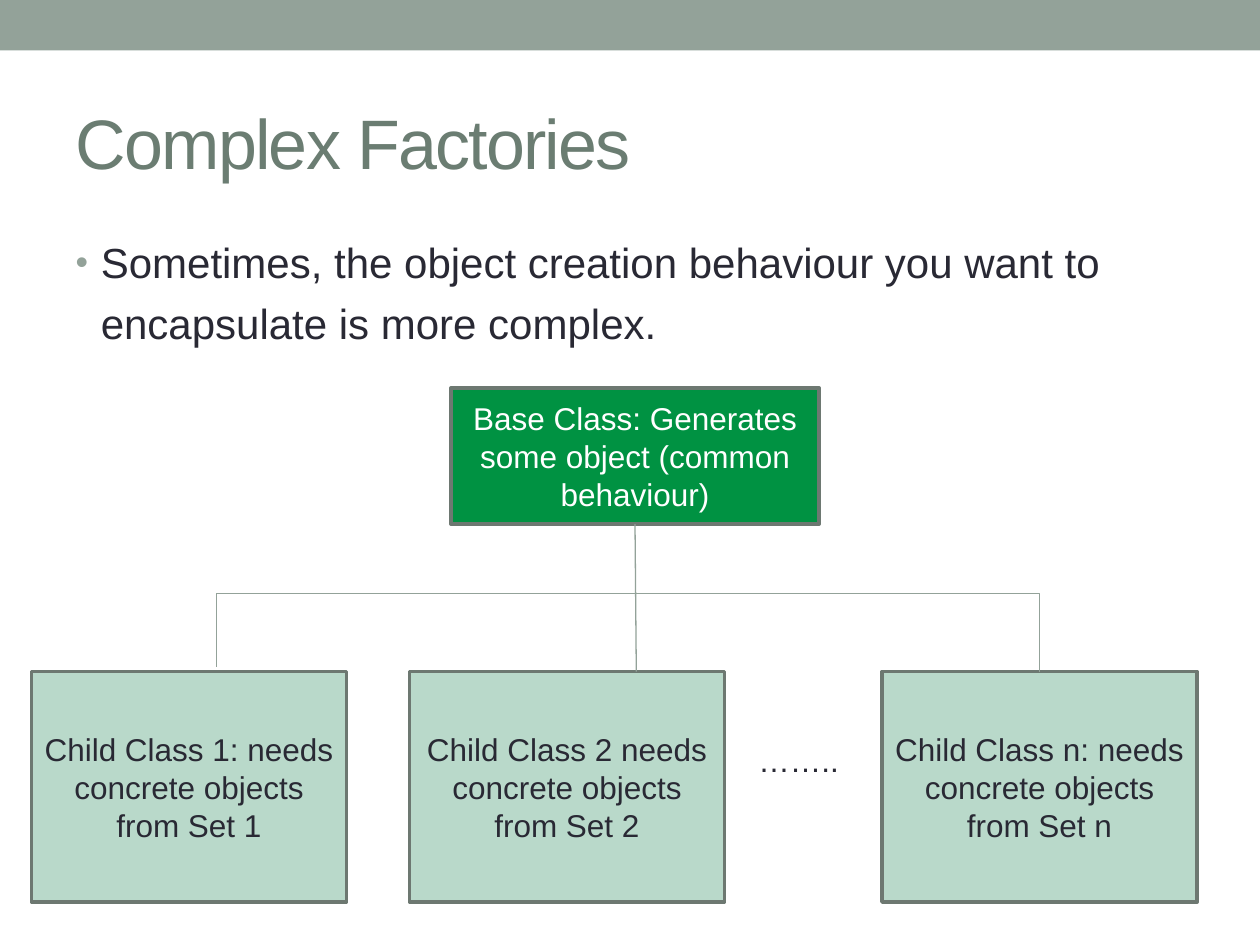
import pptx
import pptx.util
import pptx.dml.color
import pptx.enum.shapes
import pptx.enum.text
import pptx.oxml
import pptx.oxml.ns

Inches, Pt = pptx.util.Inches, pptx.util.Pt
RGB = pptx.dml.color.RGBColor
SHAPE = pptx.enum.shapes.MSO_SHAPE
CONNECTOR = pptx.enum.shapes.MSO_CONNECTOR
ANCHOR = pptx.enum.text.MSO_ANCHOR
ALIGN = pptx.enum.text.PP_ALIGN
AUTOSIZE = pptx.enum.text.MSO_AUTO_SIZE

SAGE = RGB(0x93, 0xA2, 0x99)
TITLE = RGB(0x6B, 0x7D, 0x72)
BORDER = RGB(0x6D, 0x78, 0x71)
GREEN = RGB(0x00, 0x92, 0x42)
MINT = RGB(0xB9, 0xD9, 0xCA)
INK = RGB(0x29, 0x29, 0x34)
WHITE = RGB(0xFF, 0xFF, 0xFF)

# Content
title = "Complex Factories"
bullet = ("Sometimes, the object creation behaviour you want to "
          "encapsulate is more complex.")
base = "Base Class: Generates some object (common behaviour)"
children = [
    (0.25, "Child Class 1: needs concrete objects from Set 1"),
    (3.25, "Child Class 2 needs concrete objects from Set 2"),
    (7, "Child Class n: needs concrete objects from Set n"),
]
CHILD_TOP, CHILD_W, CHILD_H = 5.33, 2.5, 1.83
BRANCH_Y = 4.71
branches = [(5.03, 8.25, CHILD_TOP), (5.05, 1.72, 5.29)]  # start x, end x, end y


def write(sp, text, size, color, anchor, align=ALIGN.LEFT):
    tf = sp.text_frame
    tf.text = text
    frame = {"word_wrap": True, "auto_size": AUTOSIZE.NONE, "vertical_anchor": anchor}
    for name, value in frame.items():
        setattr(tf, name, value)
    p = tf.paragraphs[0]
    p.alignment = align
    r = p.runs[0]
    for name, value in {"name": "Arial", "size": Pt(size)}.items():
        setattr(r.font, name, value)
    r.font.color.rgb = color
    return p


def place(sp, *box):
    for name, value in zip(("left", "top", "width", "height"), box):
        setattr(sp, name, Inches(value))


def add_box(box, fill, border=None):
    sp = s.shapes.add_shape(SHAPE.RECTANGLE, *map(Inches, box))
    sp.shadow.inherit = False
    sp.fill.solid()
    sp.fill.fore_color.rgb = fill
    if border is None:
        sp.line.fill.background()
    else:
        sp.line.color.rgb = border
        sp.line.width = Pt(2.08)
    return sp


def add_line(kind, *ends):
    line = s.shapes.add_connector(kind, *map(Inches, ends))
    line.line.color.rgb = SAGE
    line.line.width = Pt(0.75)
    pptx.oxml.ns.qn("a:effectLst")
    line._element.spPr.append(pptx.oxml.parse_xml(
        "<a:effectLst %s/>" % pptx.oxml.ns.nsdecls("a")))
    return line


prs = pptx.Presentation()
prs.slide_width, prs.slide_height = Inches(10), Inches(7.5)
s = prs.slides.add_slide(prs.slide_layouts[1])

# Top band, title and bullet
add_box((0, 0, 10, 0.4), SAGE)
place(s.shapes.title, 0.5, 0.58, 9, 1.08)
p = write(s.shapes.title, title, 40, TITLE, ANCHOR.MIDDLE)
p.runs[0].font._element.set("spc", "-100")

body = s.placeholders[1]
place(body, 0.5, 1.75, 9, 5.33)
p = write(body, bullet, 24, INK, ANCHOR.TOP)
spacing = {"line_spacing": 1.2, "space_before": Pt(6), "space_after": Pt(6)}
for name, value in spacing.items():
    setattr(p, name, value)
pPr = p._p.get_or_add_pPr()
pPr.set("marL", str(Inches(0.2)))
pPr.set("indent", str(-Inches(0.2)))
for xml in ('<a:buClr %s><a:srgbClr val="{}"/></a:buClr>'.format(SAGE),
            '<a:buSzPct %s val="85000"/>',
            '<a:buFont %s typeface="Arial"/>',
            '<a:buChar %s char="•"/>'):
    pPr.append(pptx.oxml.parse_xml(xml % pptx.oxml.ns.nsdecls("a")))

# Class boxes
base_box = add_box((3.58, 3.08, 2.92, 1.08), GREEN, BORDER)
write(base_box, base, 18, WHITE, ANCHOR.MIDDLE, ALIGN.CENTER)
for left, text in children:
    sp = add_box((left, CHILD_TOP, CHILD_W, CHILD_H), MINT, BORDER)
    write(sp, text, 18, INK, ANCHOR.MIDDLE, ALIGN.CENTER)

# Branches with a single bend, and the trunk
for start_x, end_x, end_y in branches:
    line = add_line(CONNECTOR.ELBOW, start_x, BRANCH_Y, end_x, end_y)
    line._element.spPr.find(pptx.oxml.ns.qn("a:prstGeom")).set("prst", "bentConnector2")
trunk = add_line(CONNECTOR.STRAIGHT, 5.04, 4.16, 5.05, CHILD_TOP)
trunk.begin_connect(base_box, 2)

# Ellipsis between the children
dots = s.shapes.add_textbox(*map(Inches, (5.92, 5.83, 0.92, 0.4)))
write(dots, "……..", 18, INK, ANCHOR.TOP)

prs.save("out.pptx")
